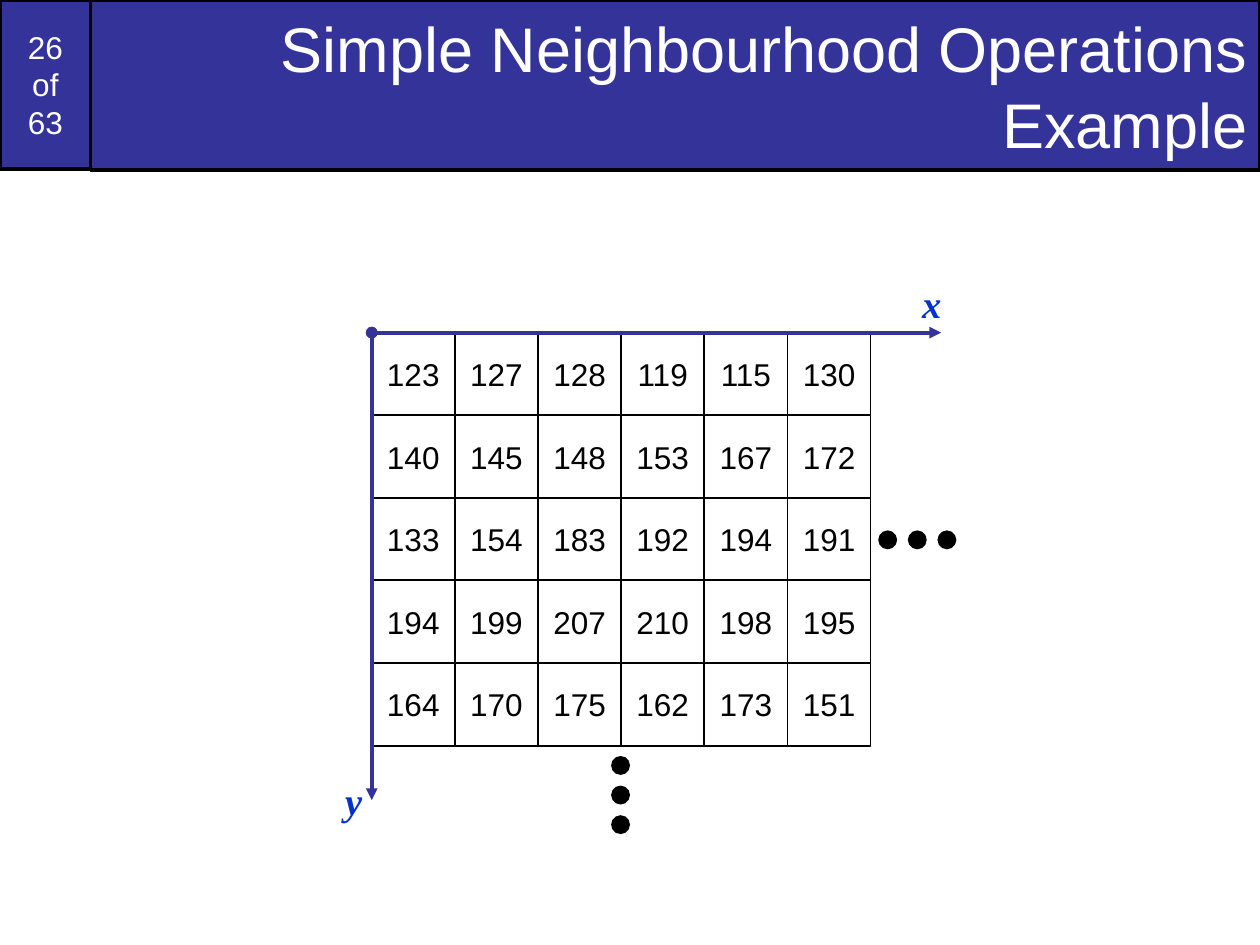
import pptx
import pptx.dml.color
import pptx.enum.shapes
import pptx.enum.text
import pptx.oxml
import pptx.oxml.ns
import pptx.util

Inches = pptx.util.Inches
Pt = pptx.util.Pt
Shape = pptx.enum.shapes.MSO_SHAPE
Align = pptx.enum.text.PP_ALIGN


def paint(code):
    return pptx.dml.color.RGBColor.from_string(code)


def write(frame, text, size=18, font="Arial", color="000000", bold=False,
          slant=False, align=Align.CENTER, wrap=False, middle=True):
    """Put formatted text in a text frame; a vertical tab breaks the line."""
    anchor = pptx.enum.text.MSO_ANCHOR
    frame.auto_size = pptx.enum.text.MSO_AUTO_SIZE.NONE
    frame.word_wrap = wrap
    frame.vertical_anchor = anchor.MIDDLE if middle else anchor.TOP
    frame.margin_left = frame.margin_right = Inches(0.1)
    frame.margin_top = frame.margin_bottom = Inches(0.05)
    frame.text = text
    para = frame.paragraphs[0]
    para.alignment = align
    for run in para.runs:
        run.font.size, run.font.name = Pt(size), font
        run.font.bold, run.font.italic = bold, slant
        run.font.color.rgb = paint(color)


class Board:
    navy, blue, black, white = "333399", "0033CC", "000000", "FFFFFF"

    def __init__(self, deck):
        self.slide = deck.slides.add_slide(deck.slide_layouts[5])
        self.shapes = self.slide.shapes

    def dress(self, shape, fill, width):
        shape.fill.solid()
        shape.fill.fore_color.rgb = paint(fill)
        if width:
            shape.line.color.rgb = paint(self.black)
            shape.line.width = Pt(width)
        else:
            shape.line.fill.background()

    def title(self, text, x, y, w, h):
        head = self.shapes.title
        head.left, head.top = Inches(x), Inches(y)
        head.width, head.height = Inches(w), Inches(h)
        self.dress(head, self.navy, 2)
        write(head.text_frame, text, size=36, color=self.white,
              align=Align.RIGHT, wrap=True)

    def block(self, kind, x, y, w, h, fill, width=0):
        shape = self.shapes.add_shape(
            kind, Inches(x), Inches(y), Inches(w), Inches(h))
        shape.shadow.inherit = False
        self.dress(shape, fill, width)
        return shape

    def box(self, text, x, y, w, h, fill, width, **style):
        shape = self.block(Shape.RECTANGLE, x, y, w, h, fill, width)
        write(shape.text_frame, text, **style)

    def dot(self, x, y, size=0.15):
        self.block(Shape.OVAL, x, y, size, size, self.black)

    def label(self, text, x, y, w, h):
        area = self.shapes.add_textbox(
            Inches(x), Inches(y), Inches(w), Inches(h))
        write(area.text_frame, text, size=22, font="Times New Roman",
              color=self.blue, bold=True, slant=True, align=Align.LEFT,
              middle=False)

    def axis(self, x1, y1, x2, y2):
        line = self.shapes.add_connector(
            pptx.enum.shapes.MSO_CONNECTOR.STRAIGHT,
            Inches(x1), Inches(y1), Inches(x2), Inches(y2))
        line.line.color.rgb = paint(self.navy)
        line.line.width = Pt(2.25)
        stroke = line.line._get_or_add_ln()
        for end, kind in (("a:headEnd", "oval"), ("a:tailEnd", "triangle")):
            mark = pptx.oxml.parse_xml(
                f'<{end} {pptx.oxml.ns.nsdecls("a")} type="{kind}"/>')
            stroke.append(mark)
        stroke.addnext(pptx.oxml.parse_xml(
            f'<a:effectLst {pptx.oxml.ns.nsdecls("a")}/>'))


def main():
    deck = pptx.Presentation()
    deck.slide_width, deck.slide_height = Inches(10), Inches(7.5)
    board = Board(deck)

    # Header
    board.box("26\vof\v63", 0, 0, 0.72, 1.34, board.navy, 2,
              color=board.white, wrap=True)
    board.title("Simple Neighbourhood Operations Example",
                0.72, 0, 9.28, 1.35)

    # Pixel grid
    pixels = [
        [123, 127, 128, 119, 115, 130],
        [140, 145, 148, 153, 167, 172],
        [133, 154, 183, 192, 194, 191],
        [194, 199, 207, 210, 198, 195],
        [164, 170, 175, 162, 173, 151],
    ]
    left, top, cell = 2.95, 2.64, 0.66
    step_x, step_y = 0.66, 0.655
    for r, row in enumerate(pixels):
        for c, value in enumerate(row):
            board.box(str(value), left + c * step_x, top + r * step_y,
                      cell, cell, board.white, 1)

    # Axes
    board.axis(left, top, 7.47, top)
    board.axis(left, top, left, 6.35)
    board.label("x", 7.22, 2.17, 0.35, 0.47)
    board.label("y", 2.64, 6.12, 0.33, 0.47)

    # Dots: the grid goes on to the right and below
    gap = 0.235
    for i in range(3):
        board.dot(6.97 + i * gap, 4.21)
    for i in range(3):
        board.dot(4.85, 6 + i * gap)

    deck.save("out.pptx")


if __name__ == "__main__":
    main()
